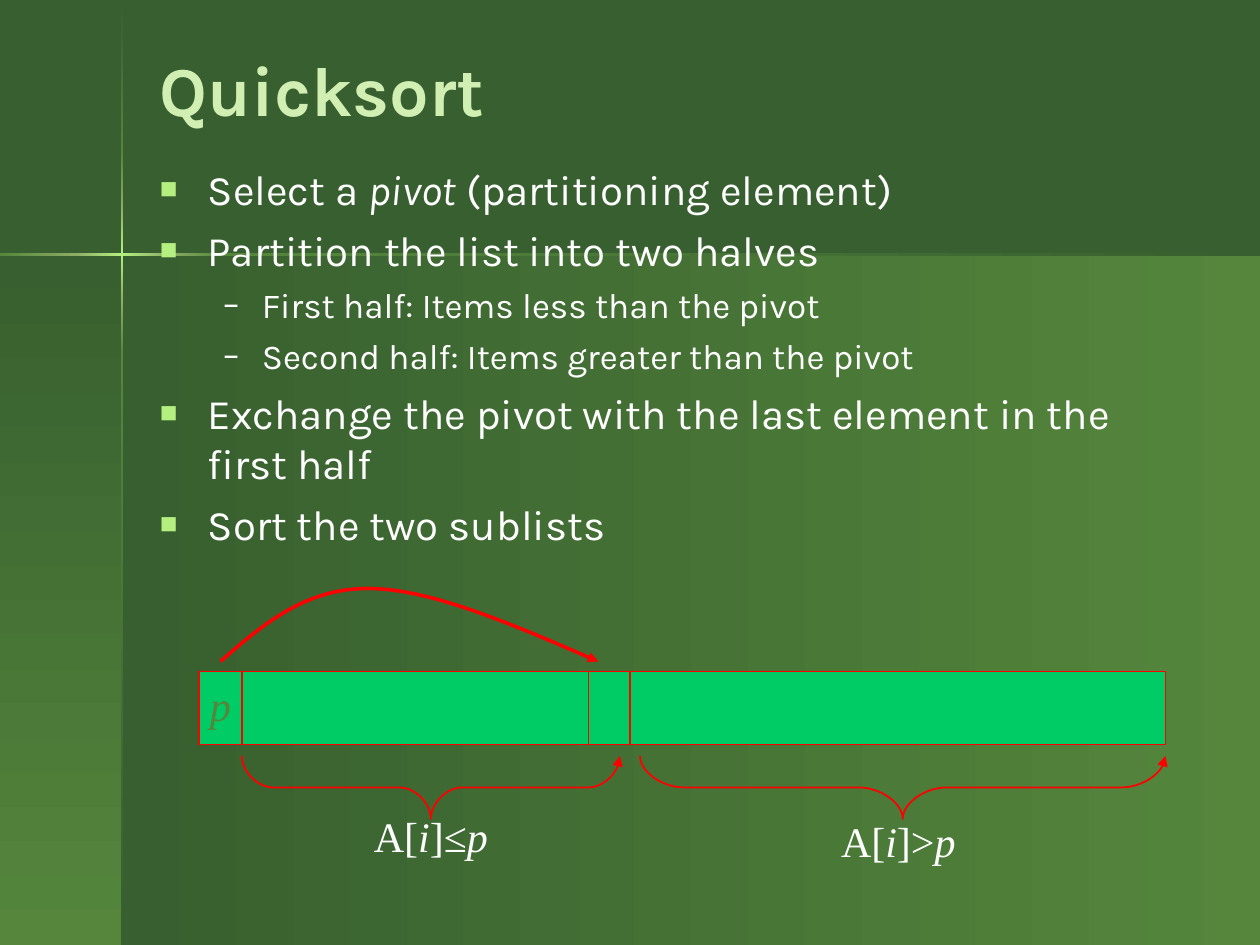
from lxml.etree import SubElement
from pptx import Presentation
from pptx.dml.color import RGBColor
from pptx.enum.shapes import MSO_CONNECTOR, MSO_SHAPE
from pptx.enum.text import MSO_ANCHOR, PP_ALIGN
from pptx.oxml import parse_xml
from pptx.oxml.ns import nsdecls, qn
from pptx.util import Inches, Pt

DARK, GREEN, SAGE, LIME = "375F2F", "55863C", "8EAC66", "B4EF7F"
WHITE, RED, MINT, PALE = "FFFFFF", "FF0000", "00CC66", "D1EFB3"
SANS, SERIF = "Karla", "Times New Roman"

# Background: left, top, width, height, gradient angle, gradient colours
PANELS = [
    (0.97, 2.02, 9.03, 5.48, 180, (GREEN, DARK)),
    (0, 2.02, 0.97, 5.48, 90, (DARK, GREEN)),
]
BEAM = 0.02
VERTICAL_BEAM = [  # top, height, colours
    (0.01, 1.2, (DARK, GREEN)),
    (2.82, 4.68, (GREEN, DARK)),
    (2.38, 0.44, (SAGE, GREEN)),
    (1.21, 0.44, (GREEN, SAGE)),
    (1.65, 0.73, (SAGE, LIME, SAGE)),
]
HORIZONTAL_BEAM = [  # left, width, colours
    (1.77, 8.23, (DARK, GREEN)),
    (0, 0.61, (SAGE, GREEN)),
    (1.33, 0.44, (GREEN, SAGE)),
    (0.6, 0.73, (SAGE, LIME, SAGE)),
]

# Text: asterisks enclose italics
TITLE = "Quicksort"
STEPS = [  # level, text
    (0, "Select a *pivot* (partitioning element)"),
    (0, "Partition the list into two halves"),
    (1, "First half: Items less than the pivot"),
    (1, "Second half: Items greater than the pivot"),
    (0, "Exchange the pivot with the last element in the first half"),
    (0, "Sort the two sublists"),
]
LEVELS = [  # size, space before, (margin, hanging, bullet, font, colour, percent)
    (24, 6, (0.38, 0.38, "■", SERIF, LIME, 70)),
    (20, 5, (0.81, 0.31, "–", SANS, WHITE, 100)),
]

# Array diagram
ARRAY = (1.58, 5.33, 7.67, 0.58)
DIVIDERS = [1.92, 4.67, 5]
BRACES = [(1.92, 4.92, 0.125), (5.08, 9.25, 0.175)]  # left, right, corner
BRACE_TOP, BRACE_HEIGHT = 6, 0.5
LABELS = [  # left, top, width, height, text, colour
    (1.5, 5.34, 0.5, 0.5, "*p*", GREEN),
    (2.67, 6.38, 1.5, 0.5, "A[*i*]≤*p*", WHITE),
    (6.38, 6.42, 1.5, 0.5, "A[*i*]>*p*", WHITE),
]
SWAP_START = (1.75, 5.25)
SWAP_CURVES = [
    ((2.08, 4.96), (2.42, 4.67), (2.92, 4.67)),
    ((3.42, 4.67), (4.08, 4.96), (4.75, 5.25)),
]


def rgb(color):
    return RGBColor.from_string(color)


def add_block(slide, box):
    block = slide.shapes.add_shape(MSO_SHAPE.RECTANGLE, *map(Inches, box))
    block.shadow.inherit = False
    return block


def add_gradient(slide, box, angle, colors):
    block = add_block(slide, box)
    block.line.fill.background()
    block.fill.background()
    stops = "".join(
        f'<a:gs pos="{100000 * i // (len(colors) - 1)}"><a:srgbClr val="{c}"/></a:gs>'
        for i, c in enumerate(colors))
    properties = block.element.spPr
    properties.replace(properties.find(qn("a:noFill")), parse_xml(
        f'<a:gradFill {nsdecls("a")} rotWithShape="1"><a:gsLst>{stops}</a:gsLst>'
        f'<a:lin ang="{angle * 60000}" scaled="0"/></a:gradFill>'))


def add_frame(slide, box, wrap=True, anchor=MSO_ANCHOR.TOP):
    frame = slide.shapes.add_textbox(*map(Inches, box)).text_frame
    frame.word_wrap = wrap
    frame.vertical_anchor = anchor
    return frame


def write(paragraph, text, size, color, font=SANS, bold=False):
    paragraph.font.name, paragraph.font.size = font, Pt(size)
    for i, part in enumerate(text.split("*")):
        if part:
            run = paragraph.add_run()
            run.text = part
            run.font.name, run.font.size = font, Pt(size)
            run.font.bold, run.font.italic = bold, i % 2 == 1
            run.font.color.rgb = rgb(color)


def set_bullet(paragraph, margin, hanging, char, font, color, percent):
    properties = paragraph._p.get_or_add_pPr()
    properties.set("marL", str(Inches(margin)))
    properties.set("indent", str(-Inches(hanging)))
    bullet_color = SubElement(properties, qn("a:buClr"))
    SubElement(bullet_color, qn("a:srgbClr"), val=color)
    SubElement(properties, qn("a:buSzPct"), val=str(percent * 1000))
    SubElement(properties, qn("a:buFont"), typeface=font)
    SubElement(properties, qn("a:buChar"), char=char)


def curve(start, c1, c2, end, steps=16):
    """Points of a cubic curve after its start."""
    for t in (i / steps for i in range(1, steps + 1)):
        u = 1 - t
        yield tuple(u**3 * a + 3 * u * u * t * b + 3 * u * t * t * c + t**3 * d
                    for a, b, c, d in zip(start, c1, c2, end))


def brace_points(left, right, corner):
    top, middle = BRACE_TOP, BRACE_TOP + BRACE_HEIGHT / 2
    bottom, center = BRACE_TOP + BRACE_HEIGHT, (left + right) / 2

    def bend(x1, y1, x2, y2, vertical_first):
        if vertical_first:
            controls = (x1, (y1 + y2) / 2), ((x1 + x2) / 2, y2)
        else:
            controls = ((x1 + x2) / 2, y1), (x2, (y1 + y2) / 2)
        return curve((x1, y1), *controls, (x2, y2))

    return [(left, top),
            *bend(left, top, left + 2 * corner, middle, True),
            (center - 2 * corner, middle),
            *bend(center - 2 * corner, middle, center, bottom, False),
            *bend(center, bottom, center + 2 * corner, middle, True),
            (right - 2 * corner, middle),
            *bend(right - 2 * corner, middle, right, top, False)]


def add_arrow_path(slide, points, width):
    points = [(Inches(x), Inches(y)) for x, y in points]
    builder = slide.shapes.build_freeform(*points[0])
    builder.add_line_segments(points[1:], close=False)
    path = builder.convert_to_shape()
    path.shadow.inherit = False
    path.fill.background()
    path.line.color.rgb, path.line.width = rgb(RED), Pt(width)
    SubElement(path.line._get_or_add_ln(), qn("a:tailEnd"), type="triangle")


prs = Presentation()
prs.slide_width, prs.slide_height = Inches(10), Inches(7.5)
slide = prs.slides.add_slide(prs.slide_layouts[6])
slide.background.fill.solid()
slide.background.fill.fore_color.rgb = rgb(DARK)

# Background panels and crossing beams
for *box, angle, colors in PANELS:
    add_gradient(slide, box, angle, colors)
for top, height, colors in VERTICAL_BEAM:
    add_gradient(slide, (0.96, top, BEAM, height), 90, colors)
for left, width, colors in HORIZONTAL_BEAM:
    add_gradient(slide, (left, 2.01, width, BEAM), 180, colors)

# Title and steps
title = add_frame(slide, (1.17, 0.33, 8.25, 0.75), anchor=MSO_ANCHOR.MIDDLE)
write(title.paragraphs[0], TITLE, 40, PALE, bold=True)
steps = add_frame(slide, (1.17, 1.25, 8.25, 5.42))
for i, (level, text) in enumerate(STEPS):
    size, space, bullet = LEVELS[level]
    step = steps.add_paragraph() if i else steps.paragraphs[0]
    step.level = level
    set_bullet(step, *bullet)
    step.space_before = Pt(space if i else 0)
    write(step, text, size, WHITE)

# Array with its dividers
array = add_block(slide, ARRAY)
array.fill.solid()
array.fill.fore_color.rgb = rgb(MINT)
array.line.color.rgb, array.line.width = rgb(RED), Pt(1)
for x in DIVIDERS:
    divider = slide.shapes.add_connector(
        MSO_CONNECTOR.STRAIGHT, Inches(x), Inches(ARRAY[1]),
        Inches(x), Inches(ARRAY[1] + ARRAY[3]))
    divider.line.color.rgb, divider.line.width = rgb(RED), Pt(1)
    SubElement(divider.element.spPr, qn("a:effectLst"))

# Braces, labels and the swap arrow
for brace in BRACES:
    add_arrow_path(slide, brace_points(*brace), 1)
for *box, text, color in LABELS:
    label = add_frame(slide, box, wrap=False).paragraphs[0]
    label.alignment = PP_ALIGN.CENTER
    write(label, text, 24, color, font=SERIF)
swap = [SWAP_START]
for controls in SWAP_CURVES:
    swap += list(curve(swap[-1], *controls))
add_arrow_path(slide, swap, 2)

prs.save("out.pptx")
